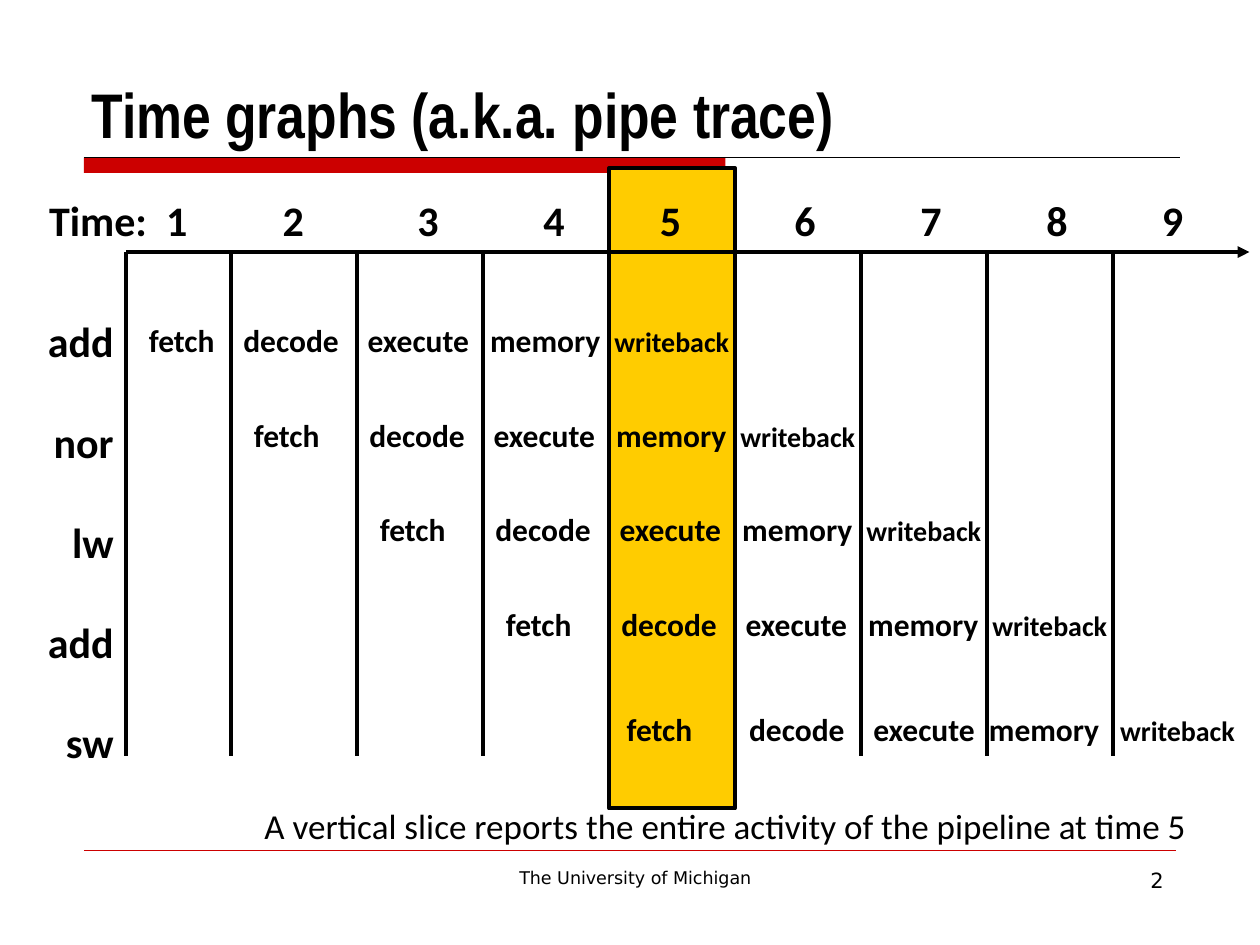
import pptx
import pptx.util
import pptx.dml.color
import pptx.enum.shapes
import pptx.enum.text
import pptx.oxml.ns
import lxml.etree

Pt = pptx.util.Pt
ALIGN = pptx.enum.text.PP_ALIGN
COLORS = {"ink": "000000", "red": "CC0000", "highlight": "FFCC00"}

# Content
TITLE = "Time graphs (a.k.a. pipe trace)"
CAPTION = "A vertical slice reports the entire activity of the pipeline at time 5"
FOOTER = "The University of Michigan"
PAGE_NUMBER = "2"
TIMES = ["Time:", "1", "2", "3", "4", "5", "6", "7", "8", "9"]
TIME_TABS = [73, 139.5, 216.5, 288.5, 355, 432, 504, 576, 642]
INSTRUCTIONS = ["add", "nor", "lw", "add", "sw"]
STAGES = ["fetch", "decode", "execute", "memory", "writeback"]
# left, top, width and tab stops of each instruction's stages
STAGE_ROWS = [
    (78, 180, 360, (54, 125, 195, 266)),
    (138, 234, 370, (66, 137, 207, 278)),
    (210, 288, 370, (66, 137, 207, 278)),
    (282, 342, 370, (66, 137, 207, 278)),
    (351, 402, 369, (70, 141, 207, 282)),
]

# Time grid
AXIS_LEFT, AXIS_RIGHT, AXIS_TOP, GRID_BOTTOM = 72, 714, 144, 432
FIRST_DIVIDER, CYCLE_WIDTH, DIVIDERS = 132, 72, 8
SLICE_TIME = 5


def rgb(name):
    return pptx.dml.color.RGBColor.from_string(COLORS[name])


def format_run(run, size, font, bold=False):
    run.font.size = Pt(size)
    run.font.name = font
    run.font.bold = bold
    run.font.color.rgb = rgb("ink")


def add_tabs(paragraph, stops, alignment):
    properties = paragraph._p.get_or_add_pPr()
    tab_list = lxml.etree.SubElement(properties, pptx.oxml.ns.qn("a:tabLst"))
    for stop in stops:
        lxml.etree.SubElement(tab_list, pptx.oxml.ns.qn("a:tab"),
                              pos=str(int(Pt(stop))), algn=alignment)


def add_text(slide, box, lines, size, font="Calibri", bold=False,
             align=ALIGN.LEFT, gap=0):
    text_frame = slide.shapes.add_textbox(*map(Pt, box)).text_frame
    text_frame.word_wrap = True
    text_frame.text = "\n".join(lines)
    for index, paragraph in enumerate(text_frame.paragraphs):
        paragraph.alignment = align
        if index:
            paragraph.space_before = Pt(gap)
        for run in paragraph.runs:
            format_run(run, size, font, bold)
    return text_frame.paragraphs[0]


def add_line(slide, ends, color="ink", width=2.25, arrow=False):
    connector = slide.shapes.add_connector(
        pptx.enum.shapes.MSO_CONNECTOR.STRAIGHT, *map(Pt, ends))
    connector.line.color.rgb = rgb(color)
    connector.line.width = Pt(width)
    if arrow:
        lxml.etree.SubElement(connector.line._get_or_add_ln(),
                              pptx.oxml.ns.qn("a:tailEnd"), type="triangle")
    lxml.etree.SubElement(connector._element.spPr,
                          pptx.oxml.ns.qn("a:effectLst"))


def add_rectangle(slide, box, fill, outline=None):
    shape = slide.shapes.add_shape(
        pptx.enum.shapes.MSO_SHAPE.RECTANGLE, *map(Pt, box))
    shape.shadow.inherit = False
    shape.fill.solid()
    shape.fill.fore_color.rgb = rgb(fill)
    if outline:
        shape.line.color.rgb = rgb(outline)
        shape.line.width = Pt(2.25)
    else:
        shape.line.fill.background()


def add_title(slide):
    title = slide.shapes.title
    title.left, title.top, title.width, title.height = map(Pt, (45, 24, 630, 66))
    title.text_frame.text = TITLE
    title.text_frame.vertical_anchor = pptx.enum.text.MSO_ANCHOR.BOTTOM
    paragraph = title.text_frame.paragraphs[0]
    paragraph.alignment = ALIGN.LEFT
    format_run(paragraph.runs[0], 36, "Arial Narrow", True)


def main():
    presentation = pptx.Presentation()
    presentation.slide_width, presentation.slide_height = Pt(720), Pt(540)
    slide = presentation.slides.add_slide(presentation.slide_layouts[5])
    add_title(slide)

    # Title rule and footer
    add_rectangle(slide, (48, 90, 366.5, 8.75), "red")
    add_line(slide, (48, 90, 674.5, 90), width=0.5)
    add_line(slide, (48, 486, 672, 486), "red", 0.25)
    add_text(slide, (228, 492, 270, 19.5), [FOOTER], 10, "DejaVu Sans",
             align=ALIGN.CENTER)
    add_text(slide, (552, 492, 120, 37.5), [PAGE_NUMBER], 12, "DejaVu Sans",
             align=ALIGN.RIGHT)

    # Highlighted slice and its caption
    slice_left = FIRST_DIVIDER + (SLICE_TIME - 2) * CYCLE_WIDTH
    add_rectangle(slide, (slice_left, 96, CYCLE_WIDTH, 366), "highlight", "ink")
    add_text(slide, (144, 456, 547, 31.5), [CAPTION], 20)

    # Time axis and cycle dividers
    add_line(slide, (AXIS_LEFT, AXIS_TOP, AXIS_RIGHT, AXIS_TOP), arrow=True)
    dividers = [FIRST_DIVIDER + i * CYCLE_WIDTH for i in range(DIVIDERS)]
    for x in [AXIS_LEFT] + dividers:
        add_line(slide, (x, AXIS_TOP, x, GRID_BOTTOM))
    time_label = add_text(slide, (21, 107.5, 690, 36), ["\t".join(TIMES)], 24,
                          bold=True)
    add_tabs(time_label, TIME_TABS, "ctr")

    # Instructions and their stages
    add_text(slide, (12, 177, 60, 269), INSTRUCTIONS, 24, bold=True,
             align=ALIGN.RIGHT, gap=28.5)
    for left, top, width, stops in STAGE_ROWS:
        row = add_text(slide, (left, top, width, 29),
                       ["\t".join(STAGES[:-1]) + "\t"], 18, bold=True)
        add_tabs(row, stops, "l")
        last_stage = row.add_run()
        last_stage.text = STAGES[-1]
        format_run(last_stage, 16, "Calibri", True)

    presentation.save("out.pptx")


if __name__ == "__main__":
    main()
